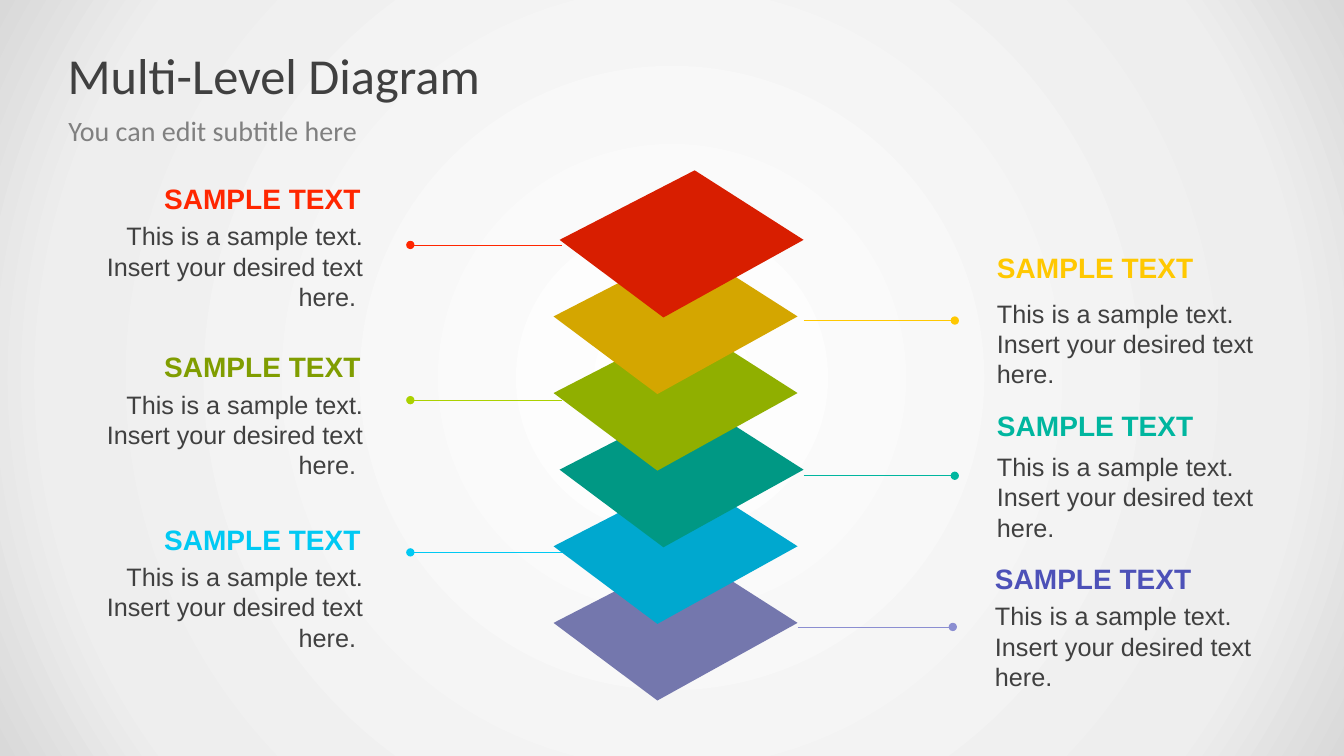
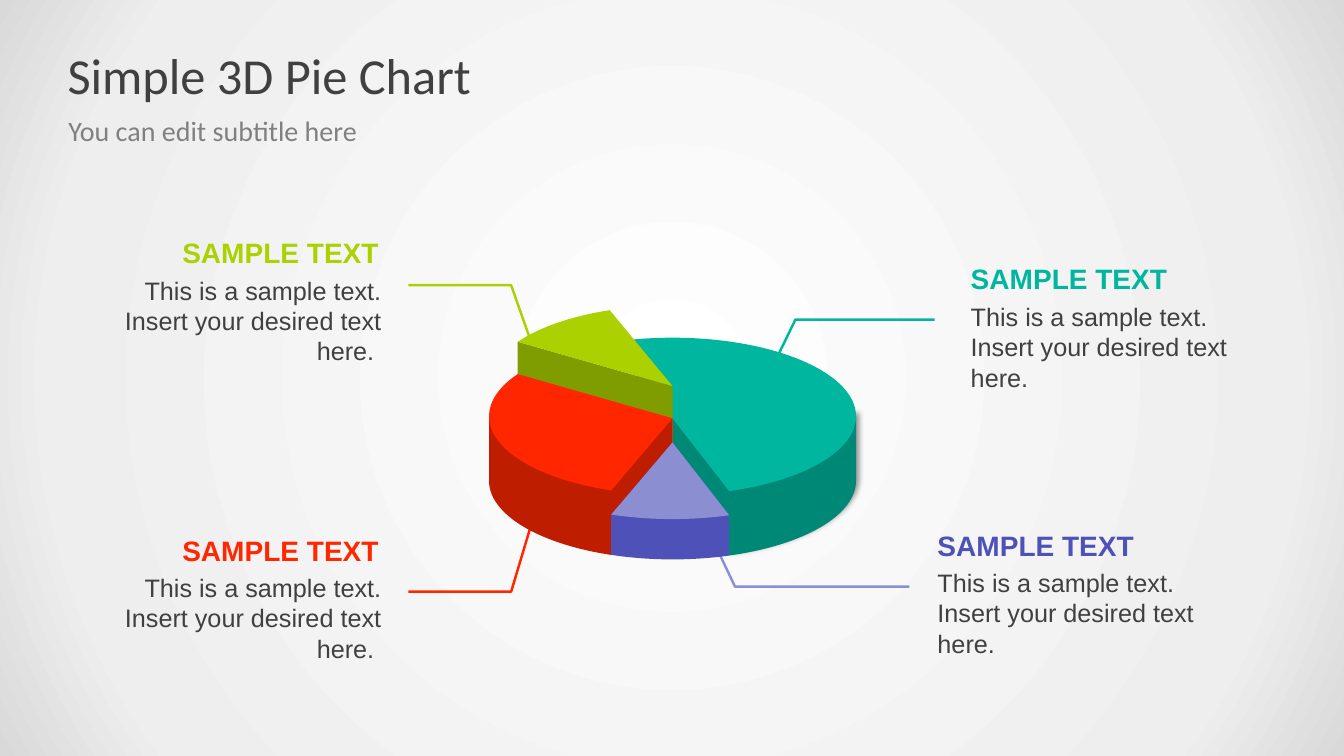
from dataclasses import dataclass
from math import cos, radians, sin, tan

from pptx import Presentation
from pptx.dml.color import RGBColor
from pptx.enum.shapes import MSO_CONNECTOR as Connector, MSO_SHAPE as Preset
from pptx.enum.text import MSO_ANCHOR as Anchor, MSO_AUTO_SIZE as AutoSize, PP_ALIGN as Align
from pptx.oxml import parse_xml
from pptx.oxml.ns import nsdecls, qn
from pptx.presentation import Presentation as Deck
from pptx.shapes.autoshape import Shape
from pptx.slide import Slide, SlideLayout
from pptx.text.text import TextFrame
from pptx.util import Inches, Pt

COLORS = {
    "ink": "404040", "subtitle": "808080", "shadow": "000000",
    "glow": "FFFFFF", "mist": "EEEEEE", "edge": "D9D9D9",
    "red": "FF2600", "red_level": "D81E00", "red_wall": "BF1D00", "red_dot": "E23036",
    "yellow": "FFC801", "yellow_level": "D4A600",
    "green": "ABD100", "green_level": "90AF00", "green_wall": "809D00",
    "teal": "00B69F", "teal_level": "009884", "teal_wall": "008877", "teal_dot": "00B39B",
    "blue": "00C9F3", "blue_level": "00A8CF",
    "violet": "8B8ED1", "violet_level": "7477AD", "violet_wall": "4D51B8",
}
HEADING = "SAMPLE TEXT"
BODY = "This is a sample text. Insert your desired text here. "
SUBTITLE = "You can edit subtitle here"

Point = tuple[float, float]


@dataclass(frozen=True)
class Caption:
    """A heading with a short text; on the left side it is right-aligned."""
    x: float
    y: float
    color: str
    on_left: bool = False
    gap: float = 0.39
    width: float = 2.8


@dataclass(frozen=True)
class Pointer:
    """A thin level line with a dot on its outer end."""
    start: float
    end: float
    y: float
    color: str
    dot_at: str = "tailEnd"


@dataclass(frozen=True)
class Level:
    """One sheet of the stack."""
    x: float
    color: str


@dataclass(frozen=True)
class Leader:
    """A bent line that ends in a dot on the pie."""
    points: tuple[Point, Point, Point]
    color: str
    dot: str


@dataclass(frozen=True)
class Slice:
    """A pie wedge between two angles, with the visible part of its wall."""
    color: str
    start: float
    end: float
    wall_start: float
    wall_end: float
    lift: float = 0
    cut: bool = True
    shadow: bool = False


LEVEL_CAPTIONS = (
    Caption(0.9, 1.75, "red", True),
    Caption(0.9, 3.42, "green_wall", True),
    Caption(0.9, 5.13, "blue", True),
    Caption(9.79, 2.44, "yellow", gap=0.47, width=3),
    Caption(9.79, 4, "teal", gap=0.43),
    Caption(9.77, 5.52, "violet_wall"),
)
POINTERS = (
    Pointer(4.07, 5.57, 2.43, "red", "headEnd"),
    Pointer(4.07, 5.57, 3.97, "green", "headEnd"),
    Pointer(4.07, 5.57, 5.48, "blue", "headEnd"),
    Pointer(7.97, 9.47, 3.18, "yellow"),
    Pointer(7.97, 9.47, 4.72, "teal"),
    Pointer(7.91, 9.45, 6.22, "violet"),
)
LEVELS = (
    Level(6.69, "violet_level"), Level(6.69, "blue_level"), Level(6.75, "teal_level"),
    Level(6.69, "green_level"), Level(6.69, "yellow_level"), Level(6.75, "red_level"),
)
LOWEST_LEVEL, LEVEL_STEP = 6.18, 0.76
SHEET = ((-1.2, 0), (0.14, -0.69), (1.22, 0), (-0.17, 0.77))

PIE_CAPTIONS = (
    Caption(1.08, 2.29, "green", True),
    Caption(1.08, 5.24, "red", True),
    Caption(9.53, 2.55, "teal"),
    Caption(9.2, 5.19, "violet_wall"),
)
LEADERS = (
    Leader(((4.05, 5.87), (5.07, 5.87), (5.27, 5.2)), "red", "red_dot"),
    Leader(((9.02, 5.82), (7.29, 5.82), (7.1, 5.42)), "violet", "violet"),
    Leader(((9.27, 3.17), (7.89, 3.17), (7.7, 3.56)), "teal", "teal_dot"),
    Leader(((4.05, 2.83), (5.07, 2.83), (5.27, 3.4)), "green", "green"),
)
SLICES = (
    Slice("teal", 250, 432, 0, 72, shadow=True),
    Slice("green", 212.5, 250, 212.5, 212.5, lift=0.32),
    Slice("red", 109.5, 212.5, 180, 109.5),
    Slice("violet", 72, 109.5, 72, 109.5, lift=-0.24, cut=False),
)
PIE_X, PIE_Y, RADIUS_X, RADIUS_Y = 6.67, 4.13, 1.82, 0.78
DEPTH, TIP_DROP = 0.64, 0.02
DOT = 0.07


def rgb(color: str) -> RGBColor:
    """Look up a named colour."""
    return RGBColor.from_string(COLORS[color])


def write(frame: TextFrame, text: str, size: float, color: str, font: str = "Arial",
          bold: bool = False, align: Align = Align.LEFT) -> None:
    """Put one formatted run into the first paragraph."""
    paragraph = frame.paragraphs[0]
    paragraph.alignment = align
    run = paragraph.add_run()
    run.text = text
    run.font.name, run.font.size, run.font.bold = font, Pt(size), bold
    run.font.color.rgb = rgb(color)


def add_label(slide: Slide, x: float, y: float, width: float, height: float,
              wrap: bool = True) -> TextFrame:
    """Add a growing text box and return its frame."""
    box = slide.shapes.add_textbox(Inches(x), Inches(y), Inches(width), Inches(height))
    box.text_frame.word_wrap = wrap
    box.text_frame.auto_size = AutoSize.SHAPE_TO_FIT_TEXT
    return box.text_frame


def add_caption(slide: Slide, caption: Caption) -> None:
    """Draw a heading and the text below it."""
    align = Align.RIGHT if caption.on_left else Align.LEFT
    body = add_label(slide, caption.x, caption.y + caption.gap, caption.width, 1.01)
    write(body, BODY, 18, "ink", align=align)
    heading_x = caption.x + (0.63 if caption.on_left else 0)
    heading = add_label(slide, heading_x, caption.y, 2.17, 0.44, wrap=False)
    write(heading, HEADING, 20, caption.color, bold=True)


def add_pointer(slide: Slide, pointer: Pointer) -> None:
    """Draw a level line with its round end."""
    y = Inches(pointer.y)
    line = slide.shapes.add_connector(
        Connector.STRAIGHT, Inches(pointer.start), y, Inches(pointer.end), y)
    line.line.color.rgb = rgb(pointer.color)
    line.line.width = Pt(0.5)
    properties = line.element.spPr
    properties.find(qn("a:ln")).append(
        parse_xml(f'<a:{pointer.dot_at} {nsdecls("a")} type="oval"/>'))
    properties.append(parse_xml(f'<a:effectLst {nsdecls("a")}/>'))


def add_outline(slide: Slide, points: list[Point], closed: bool = True) -> Shape:
    """Build a shape from corner points in inches."""
    corners = [(Inches(x), Inches(y)) for x, y in points]
    builder = slide.shapes.build_freeform(*corners[0])
    builder.add_line_segments(corners[1:], close=closed)
    outline = builder.convert_to_shape()
    outline.shadow.inherit = False
    return outline


def add_curved(slide: Slide, before: list[Point], curve: list[Point],
               after: list[Point]) -> Shape:
    """Build a closed shape whose middle points are a chain of cubic curves."""
    outline = add_outline(slide, [*before, *curve, *after])
    drawn = next(outline.element.iter(qn("a:path")))
    first = len(before) + 1
    steps = list(drawn)[first:first + len(curve) - 1]
    for i in range(0, len(steps), 3):
        bend = parse_xml(f'<a:cubicBezTo {nsdecls("a")}/>')
        steps[i].addprevious(bend)
        for step in steps[i:i + 3]:
            bend.append(step[0])
            drawn.remove(step)
    return outline


def paint(shape: Shape, color: str) -> None:
    """Give a shape a plain fill without a border."""
    shape.fill.solid()
    shape.fill.fore_color.rgb = rgb(color)
    shape.line.fill.background()


def add_level(slide: Slide, level: Level, y: float) -> None:
    """Draw one tilted sheet around its centre."""
    paint(add_outline(slide, [(level.x + dx, y + dy) for dx, dy in SHEET]), level.color)


def add_leader(slide: Slide, leader: Leader) -> None:
    """Draw a bent line and the dot at its end."""
    bend = add_outline(slide, list(leader.points), closed=False)
    bend.fill.background()
    bend.line.color.rgb = rgb(leader.color)
    bend.line.width = Pt(1.75)
    x, y = leader.points[-1]
    dot = slide.shapes.add_shape(Preset.OVAL, Inches(x - DOT / 2), Inches(y - DOT / 2),
                                 Inches(DOT), Inches(DOT))
    dot.shadow.inherit = False
    paint(dot, leader.dot)


def rim_point(angle: float, y: float, reach: float = 0) -> Point:
    """Return a point on the rim at height y, moved along its tangent by reach."""
    a = radians(angle)
    return (PIE_X + RADIUS_X * (cos(a) - reach * sin(a)),
            y + RADIUS_Y * (sin(a) + reach * cos(a)))


def arc(start: float, end: float, y: float) -> list[Point]:
    """Return the rim as curve points, split at each quarter turn."""
    low, high = min(start, end), max(start, end)
    quarters = [q for q in range(0, 450, 90) if low < q < high]
    stops = [start, *(quarters if start < end else reversed(quarters)), end]
    points = [rim_point(start, y)]
    if start == end:
        return points
    for a, b in zip(stops, stops[1:]):
        reach = 4 / 3 * tan(radians(b - a) / 4)
        points += [rim_point(a, y, reach), rim_point(b, y, -reach), rim_point(b, y)]
    return points


def add_slice(slide: Slide, part: Slice) -> None:
    """Draw the wall of a wedge, then its top."""
    top, base = PIE_Y - part.lift, PIE_Y + DEPTH
    tip = (PIE_X, top + TIP_DROP)
    last = (PIE_X, base + TIP_DROP) if part.cut else rim_point(part.wall_end, top)
    wall = add_curved(slide, [tip, rim_point(part.wall_start, top)],
                      arc(part.wall_start, part.wall_end, base), [last])
    paint(wall, f"{part.color}_wall")
    if part.shadow:
        wall.element.spPr.find(qn("a:effectLst")).append(parse_xml(
            f'<a:outerShdw {nsdecls("a")} blurRad="{Pt(4)}" dist="{Pt(3)}" dir="18900000" '
            f'algn="bl" rotWithShape="0"><a:srgbClr val="{COLORS["shadow"]}">'
            '<a:alpha val="40000"/></a:srgbClr></a:outerShdw>'))
    paint(add_curved(slide, [tip], arc(part.start, part.end, top), []), part.color)


def style_template(deck: Deck) -> SlideLayout:
    """Set the shared background and title place; return the layout."""
    master = deck.slide_master
    master.background.fill.solid()
    plain = next(master.element.iter(qn("p:bgPr"))).find(qn("a:solidFill"))
    stops = "".join(
        f'<a:gs pos="{at * 1000}"><a:srgbClr val="{COLORS[color]}"/></a:gs>'
        for at, color in ((0, "glow"), (81, "mist"), (100, "edge")))
    plain.getparent().replace(plain, parse_xml(
        f'<a:gradFill {nsdecls("a")} rotWithShape="1"><a:gsLst>{stops}</a:gsLst>'
        '<a:path path="circle"><a:fillToRect l="50000" t="50000" r="50000" b="50000"/>'
        '</a:path></a:gradFill>'))
    layout = deck.slide_layouts.get_by_name("Title Only")
    title = layout.placeholders[0]
    title.left, title.top = Inches(0.67), Inches(0.4)
    title.width, title.height = Inches(11.85), Inches(0.76)
    frame = title.text_frame
    frame.margin_left = frame.margin_right = 0
    frame.margin_top = frame.margin_bottom = Inches(0.07)
    frame.vertical_anchor = Anchor.MIDDLE
    return layout


def add_titled_slide(deck: Deck, layout: SlideLayout, title: str) -> Slide:
    """Add a slide with its title and subtitle."""
    slide = deck.slides.add_slide(layout)
    frame = slide.shapes.title.text_frame
    write(frame, title, 36, "ink", "Calibri")
    frame.paragraphs[0].line_spacing = 0.9
    write(add_label(slide, 0.58, 1.08, 4.8, 0.44), SUBTITLE, 20, "subtitle", "Calibri")
    return slide


def main() -> None:
    """Build both slides and save them."""
    deck = Presentation()
    deck.slide_width, deck.slide_height = Inches(13.33), Inches(7.5)
    layout = style_template(deck)

    stack = add_titled_slide(deck, layout, "Multi-Level Diagram")
    for pointer in POINTERS:
        add_pointer(stack, pointer)
    for caption in LEVEL_CAPTIONS:
        add_caption(stack, caption)
    for i, level in enumerate(LEVELS):
        add_level(stack, level, LOWEST_LEVEL - i * LEVEL_STEP)

    pie = add_titled_slide(deck, layout, "Simple 3D Pie Chart")
    for leader in LEADERS:
        add_leader(pie, leader)
    for caption in PIE_CAPTIONS:
        add_caption(pie, caption)
    for part in SLICES:
        add_slice(pie, part)

    deck.save("out.pptx")


main()
